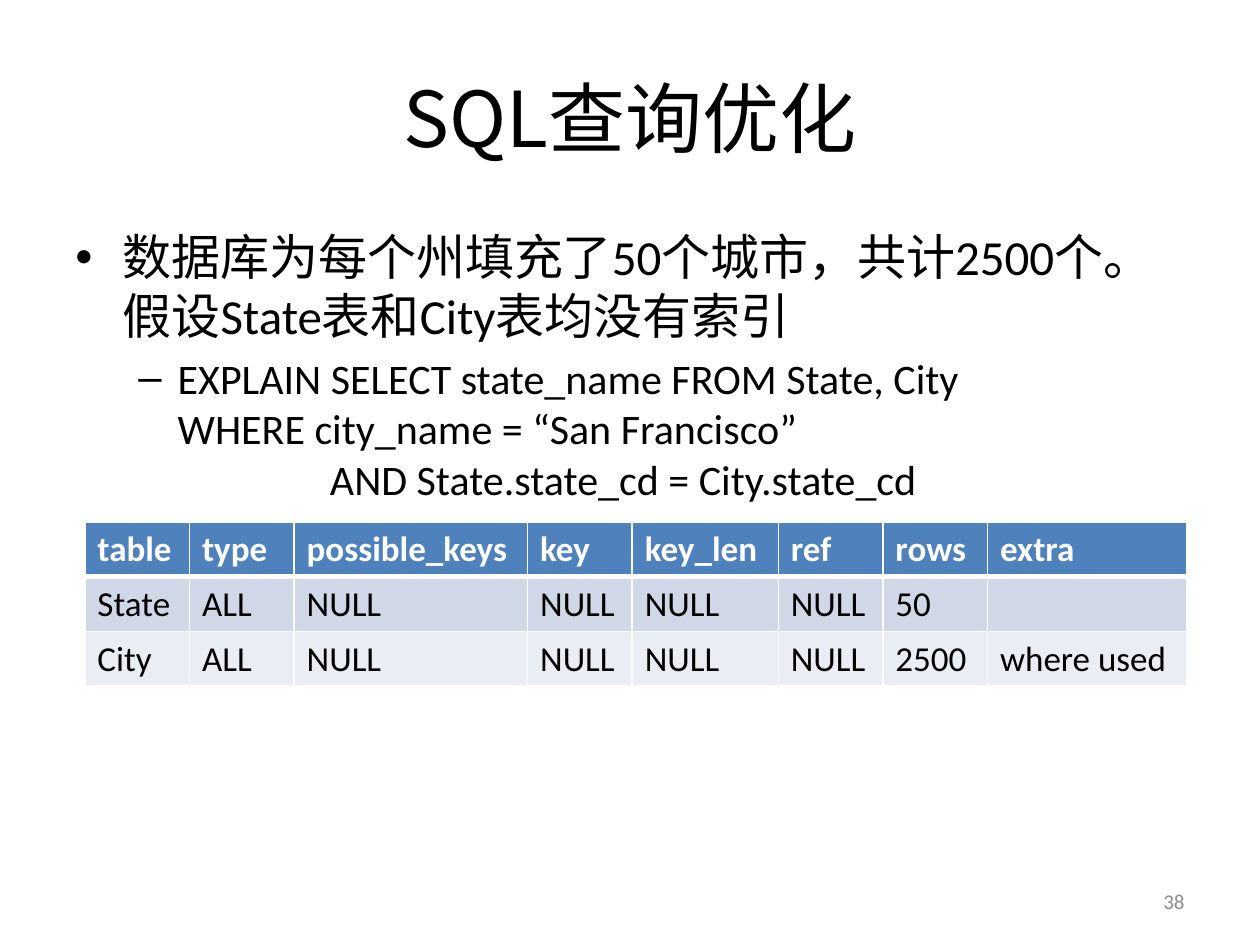
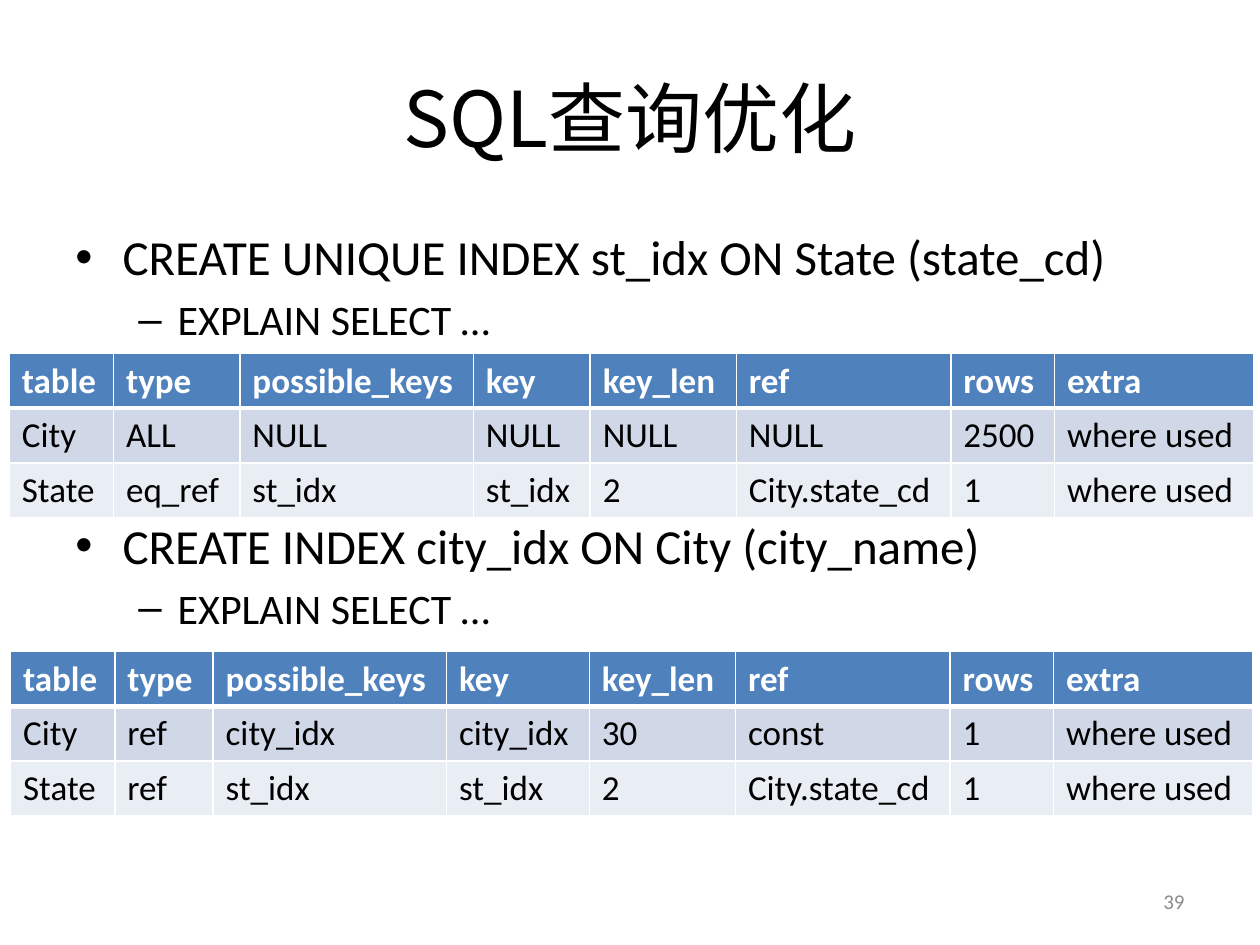
from lxml import etree
from pptx import Presentation
from pptx.dml.color import RGBColor
from pptx.enum.text import MSO_ANCHOR, PP_ALIGN
from pptx.oxml.ns import qn
from pptx.util import Pt

MIDDLE, TOP = MSO_ANCHOR.MIDDLE, MSO_ANCHOR.TOP
LEFT, CENTER, RIGHT = PP_ALIGN.LEFT, PP_ALIGN.CENTER, PP_ALIGN.RIGHT

BODY_FONT, TITLE_FONT = "Calibri", "Noto Sans CJK SC"
BLACK, WHITE, GRAY = "000000", "FFFFFF", "8C8C8C"
HEADER_FILL, BAND_FILLS = "4F81BD", ("D0D8E8", "E9EDF4")

TITLE = "SQL查询优化"
HEADERS = ("table", "type", "possible_keys", "key", "key_len", "ref", "rows", "extra")
ROW_HEIGHT = 31.2

# Left margin, hanging indent, bullet, size and space before of each text level
LEVELS = {
    "point": dict(margin=27, hang=27, bullet="•", size=28, before=5),
    "query": dict(margin=58.5, hang=22.5, bullet="–", size=24, before=4.5),
    "clause": dict(margin=145.5, hang=0, bullet=None, size=24, before=0),
}


def color(hex_code):
    return RGBColor.from_string(hex_code)


def style_text(para, size, hex_code=BLACK, name=BODY_FONT, bold=False):
    """Format every run, with one typeface for Latin and East Asian text."""
    for span in para.runs:
        font = span.font
        for key, value in dict(size=Pt(size), name=name, bold=bold).items():
            setattr(font, key, value)
        font.color.rgb = color(hex_code)
        latin = span._r.get_or_add_rPr().find(qn("a:latin"))
        east_asian = etree.Element(qn("a:ea"), typeface=name)
        latin.addnext(east_asian)


def add_frame(page, left, top, width, height, anchor=TOP):
    box = page.shapes.add_textbox(Pt(left), Pt(top), Pt(width), Pt(height))
    frame = box.text_frame
    frame.word_wrap = True
    frame.vertical_anchor = anchor
    return frame


def add_label(page, text, place, align, **look):
    para = add_frame(page, *place, anchor=MIDDLE).paragraphs[0]
    para.text = text
    para.alignment = align
    style_text(para, **look)


def add_outline(page, items):
    """Write (level, text, extra space before) items into the body area."""
    frame = add_frame(page, 36, 126, 648, 356.4)
    for index, (level, text, extra) in enumerate(items):
        para = frame.add_paragraph() if index else frame.paragraphs[0]
        layout = LEVELS[level]
        para.text = text
        para.alignment = LEFT
        para.space_before = Pt(layout["before"] + extra if index else 1)
        style_text(para, layout["size"])
        props = para._p.get_or_add_pPr()
        props.set("marL", str(Pt(layout["margin"])))
        props.set("indent", str(-Pt(layout["hang"])))
        if layout["bullet"]:
            etree.SubElement(props, qn("a:buFont"), typeface="Arial")
            etree.SubElement(props, qn("a:buChar"), char=layout["bullet"])
        else:
            etree.SubElement(props, qn("a:buNone"))


def set_borders(cell, **widths):
    props = cell._tc.get_or_add_tcPr()
    for side in "LRTB":
        line = etree.SubElement(props, qn(f"a:ln{side}"), w=str(Pt(widths.get(side, 1))))
        fill = etree.SubElement(line, qn("a:solidFill"))
        etree.SubElement(fill, qn("a:srgbClr"), val=WHITE)


def add_plan_table(page, left, top, widths, rows):
    """Draw an EXPLAIN result: one header row and banded data rows."""
    lines = (HEADERS, *rows)
    table = page.shapes.add_table(
        len(lines), len(HEADERS), Pt(left), Pt(top),
        Pt(sum(widths)), Pt(ROW_HEIGHT * len(lines))).table
    table.horz_banding = False
    for column, width in zip(table.columns, widths):
        column.width = Pt(width)
    for row, values in enumerate(lines):
        is_header = row == 0
        table.rows[row].height = Pt(ROW_HEIGHT)
        for column, value in enumerate(values):
            cell = table.cell(row, column)
            set_borders(cell, B=3 if is_header else 1, T=3 if row == 1 else 1)
            cell.fill.solid()
            fill = HEADER_FILL if is_header else BAND_FILLS[(row - 1) % 2]
            cell.fill.fore_color.rgb = color(fill)
            if value:
                para = cell.text_frame.paragraphs[0]
                para.text = value
                style_text(para, 20, WHITE if is_header else BLACK, bold=is_header)


def add_page(deck, number):
    page = deck.slides.add_slide(deck.slide_layouts[6])
    add_label(page, TITLE, (36, 21.6, 648, 90), CENTER, size=44, name=TITLE_FONT)
    add_label(page, str(number), (516, 500.5, 168, 28.8), RIGHT, size=12, hex_code=GRAY)
    return page


def add_unindexed_page(deck):
    page = add_page(deck, 38)
    add_outline(page, [
        ("point", "数据库为每个州填充了50个城市，共计2500个。假设State表和City表均没有索引", 0),
        ("query", "EXPLAIN SELECT state_name FROM State, City\v"
                  "WHERE city_name = “San Francisco”", 0),
        ("clause", "AND State.state_cd = City.state_cd", 0),
    ])
    add_plan_table(page, 48.5, 298.3, (59.8, 59.8, 133.4, 59.8, 83.5, 59.8, 59.8, 113.8), [
        ("State", "ALL", "NULL", "NULL", "NULL", "NULL", "50", ""),
        ("City", "ALL", "NULL", "NULL", "NULL", "NULL", "2500", "where used"),
    ])


def add_indexed_page(deck):
    page = add_page(deck, 39)
    add_outline(page, [
        ("point", "CREATE UNIQUE INDEX st_idx ON State (state_cd)", 0),
        ("query", "EXPLAIN SELECT …", 0),
        ("point", "CREATE INDEX city_idx ON City (city_name)", 93),
        ("query", "EXPLAIN SELECT …", 0),
    ])
    add_plan_table(page, 5.3, 202, (59.6, 72.2, 133.4, 66.8, 83.5, 122.6, 59.2, 113.8), [
        ("City", "ALL", "NULL", "NULL", "NULL", "NULL", "2500", "where used"),
        ("State", "eq_ref", "st_idx", "st_idx", "2", "City.state_cd", "1", "where used"),
    ])
    add_plan_table(page, 6, 372.3, (59.6, 56.2, 133.4, 81.6, 83.5, 122.6, 59.2, 113.8), [
        ("City", "ref", "city_idx", "city_idx", "30", "const", "1", "where used"),
        ("State", "ref", "st_idx", "st_idx", "2", "City.state_cd", "1", "where used"),
    ])


def main():
    deck = Presentation()
    deck.slide_width, deck.slide_height = Pt(720), Pt(540)
    add_unindexed_page(deck)
    add_indexed_page(deck)
    deck.save("out.pptx")


if __name__ == "__main__":
    main()
